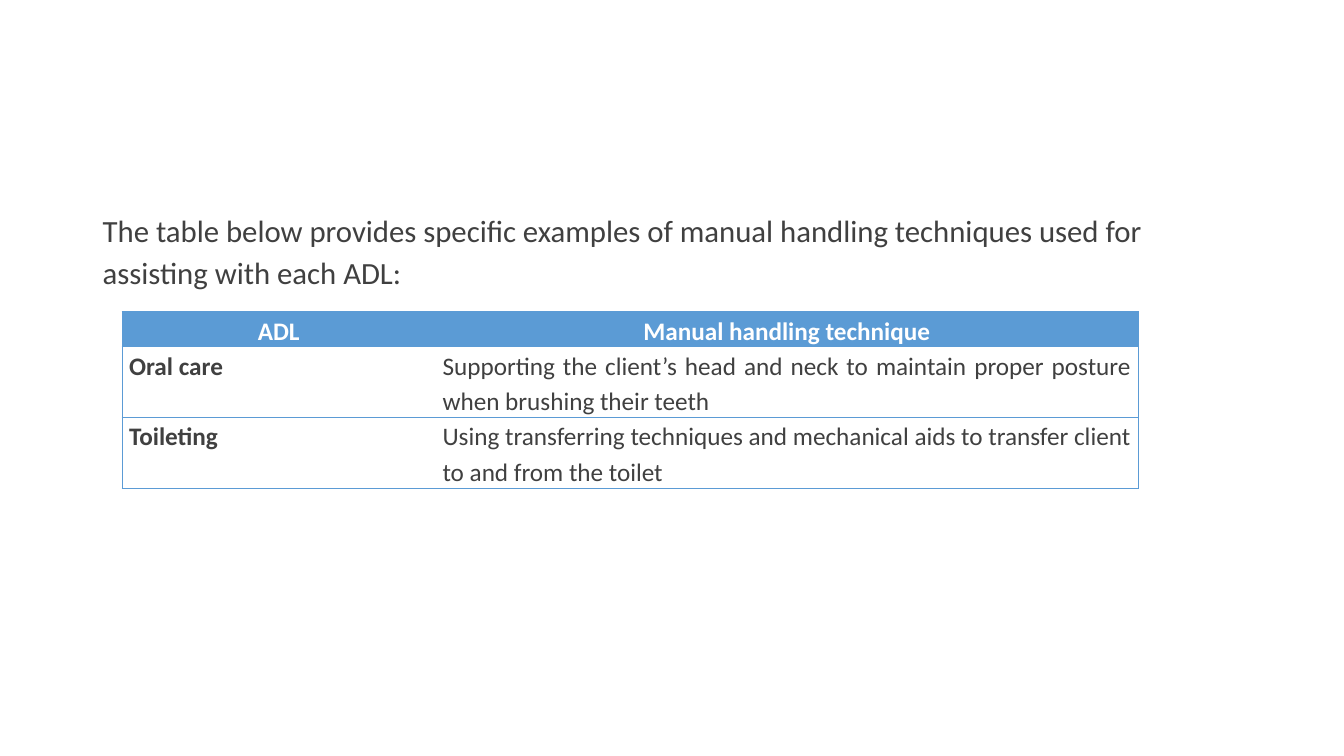
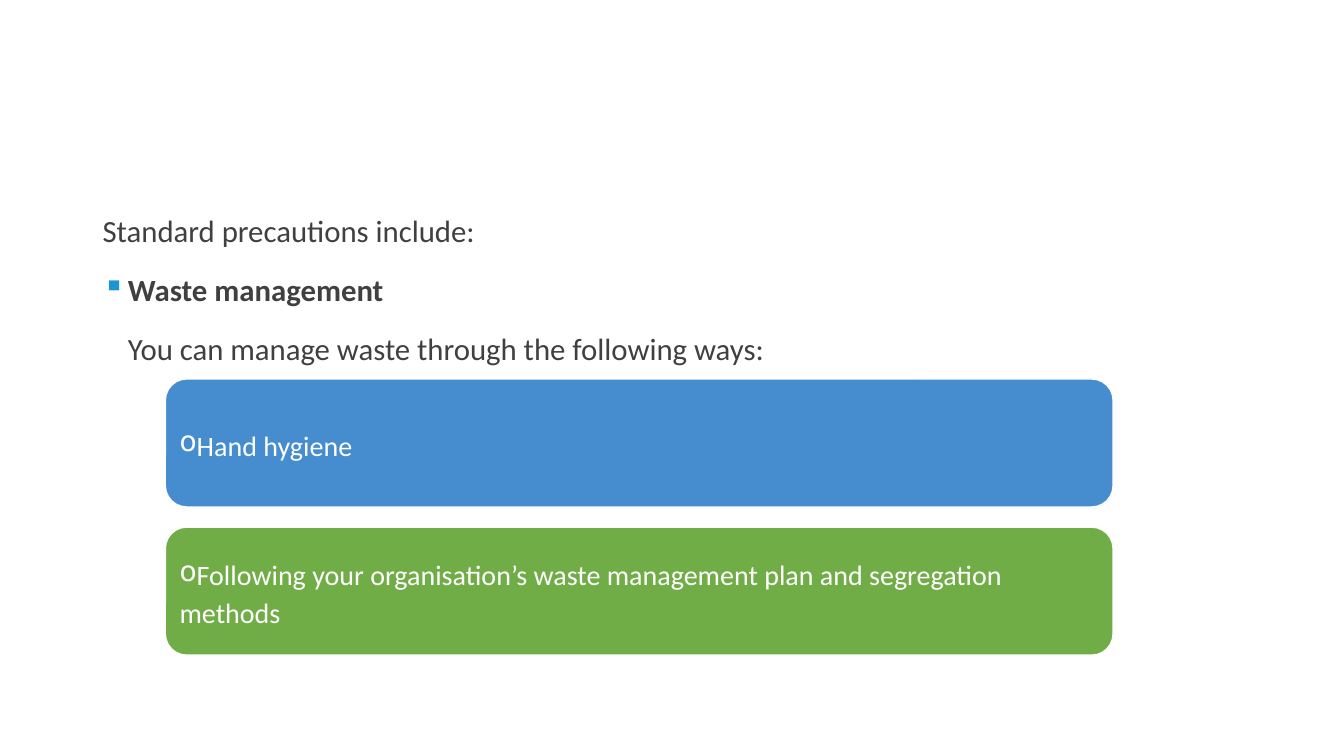
from lxml.etree import SubElement
from pptx import Presentation
from pptx.dml.color import RGBColor
from pptx.enum.shapes import MSO_SHAPE
from pptx.enum.text import MSO_ANCHOR, PP_ALIGN
from pptx.oxml.ns import qn
from pptx.util import Inches, Pt

INK, WHITE, BLUE, GREEN = "404040", "FFFFFF", "458DCF", "70AD47"
RULE, MARK = "5B9BD5", "1C96D3"
BODY = (0.92, 2, 11.03, 4.76)
PLAIN = "{2D5ABB26-0587-4C30-8999-92F81FD0307C}"


def color(code):
    """Turn a hex string into a colour."""
    return RGBColor.from_string(code)


def assign(item, values):
    """Set every attribute named in a dict of format values."""
    for name, value in values.items():
        setattr(item, name, value)


def box(area):
    """Turn left, top, width and height in inches into lengths."""
    return [Inches(n) for n in area]


def bullet(para, char, tint=None):
    """Give a paragraph a bullet character, with its own colour if asked."""
    props = para._p.get_or_add_pPr()
    if tint:
        SubElement(SubElement(props, qn("a:buClr")), qn("a:srgbClr"), val=tint)
    SubElement(props, qn("a:buChar"), char=char)


def write(para, text, size, tint=INK, bold=False, **layout):
    """Fill a paragraph with one run in the shared style."""
    assign(para, layout)
    run = para.add_run()
    run.text = text
    assign(run.font, {"name": "Calibri", "size": Pt(size), "bold": bold})
    run.font.color.rgb = color(tint)


def body(slide, items):
    """Place the body text; each item is text, bold, bullet and indents."""
    frame = slide.shapes.add_textbox(*box(BODY)).text_frame
    frame.word_wrap = True
    for index, (text, bold, char, left, hang) in enumerate(items):
        para = frame.add_paragraph() if index else frame.paragraphs[0]
        props = para._p.get_or_add_pPr()
        props.set("marL", str(Inches(left)))
        props.set("indent", str(Inches(hang)))
        if char:
            bullet(para, char, MARK)
        write(para, text, 22, bold=bold, line_spacing=1.14,
              space_before=Pt(6 if index else 0), space_after=Pt(6))


def border(cell, sides):
    """Rule the named sides of a cell."""
    props = cell._tc.get_or_add_tcPr()
    for side in sides:
        line = SubElement(props, qn("a:ln" + side), w=str(Pt(0.5)))
        fill = SubElement(line, qn("a:solidFill"))
        SubElement(fill, qn("a:srgbClr"), val=RULE)


def grid(slide, area, widths, heights, rows):
    """Place a table with a filled header and ruled rows."""
    table = slide.shapes.add_table(len(rows), len(widths), *box(area)).table
    table._tbl.tblPr.find(qn("a:tableStyleId")).text = PLAIN
    for column, width in zip(table.columns, widths):
        column.width = Inches(width)
    for r, (row, height) in enumerate(zip(rows, heights)):
        table.rows[r].height = Inches(height)
        for c, text in enumerate(row):
            cell = table.cell(r, c)
            head = r == 0
            border(cell, ("L" if c == 0 else "R") + "TB")
            if head:
                cell.fill.solid()
                cell.fill.fore_color.rgb = color(RULE)
            else:
                cell.fill.background()
            assign(cell, {"margin_left": Inches(0.07),
                          "margin_right": Inches(0.07),
                          "margin_top": 0, "margin_bottom": 0})
            write(cell.text_frame.paragraphs[0], text, 18,
                  WHITE if head else INK, head or c == 0, line_spacing=1.15,
                  alignment=PP_ALIGN.CENTER if head else PP_ALIGN.JUSTIFY)


def cards(slide, area, gap, items):
    """Stack equal rounded cards down a box."""
    left, top, width, height = area
    tall = (height - gap * (len(items) - 1)) / len(items)
    for index, (text, tint) in enumerate(items):
        spot = (left, top + index * (tall + gap), width, tall)
        card = slide.shapes.add_shape(MSO_SHAPE.ROUNDED_RECTANGLE, *box(spot))
        card.shadow.inherit = False
        card.fill.solid()
        card.fill.fore_color.rgb = color(tint)
        card.line.color.rgb = color(WHITE)
        card.line.width = Pt(1)
        frame = card.text_frame
        assign(frame, {"word_wrap": True,
                       "vertical_anchor": MSO_ANCHOR.MIDDLE})
        for side in ("left", "right", "top", "bottom"):
            setattr(frame, "margin_" + side, Inches(0.08))
        para = frame.paragraphs[0]
        bullet(para, "o")
        write(para, text, 20, WHITE, line_spacing=1.14, space_after=Pt(6),
              alignment=PP_ALIGN.LEFT)


def care(slide):
    """Build the slide on handling techniques."""
    body(slide, [("The table below provides specific examples of manual "
                  "handling techniques used for assisting with each ADL:",
                  False, None, 0, 0)])
    grid(slide, (1.21, 3.09, 10.08, 1.75), (3.11, 6.97), (0.35, 0.7, 0.7), [
        ("ADL", "Manual handling technique"),
        ("Oral care", "Supporting the client’s head and neck to maintain "
         "proper posture when brushing their teeth"),
        ("Toileting", "Using transferring techniques and mechanical aids to "
         "transfer client to and from the toilet")])


def waste(slide):
    """Build the slide on waste management."""
    body(slide, [
        ("Standard precautions include:", False, None, 0, 0),
        ("Waste management", True, "▪", 0.25, -0.25),
        ("You can manage waste through the following ways:",
         False, None, 0.25, 0)])
    cards(slide, (1.64, 3.76, 9.4, 2.74), 0.2, [
        ("Hand hygiene", BLUE),
        ("Following your organisation’s waste management plan and "
         "segregation methods", GREEN)])


def main():
    """Build and save the slides."""
    deck = Presentation()
    assign(deck, {"slide_width": Inches(13.33), "slide_height": Inches(7.5)})
    for build in (care, waste):
        build(deck.slides.add_slide(deck.slide_layouts[6]))
    deck.save("out.pptx")


if __name__ == "__main__":
    main()
